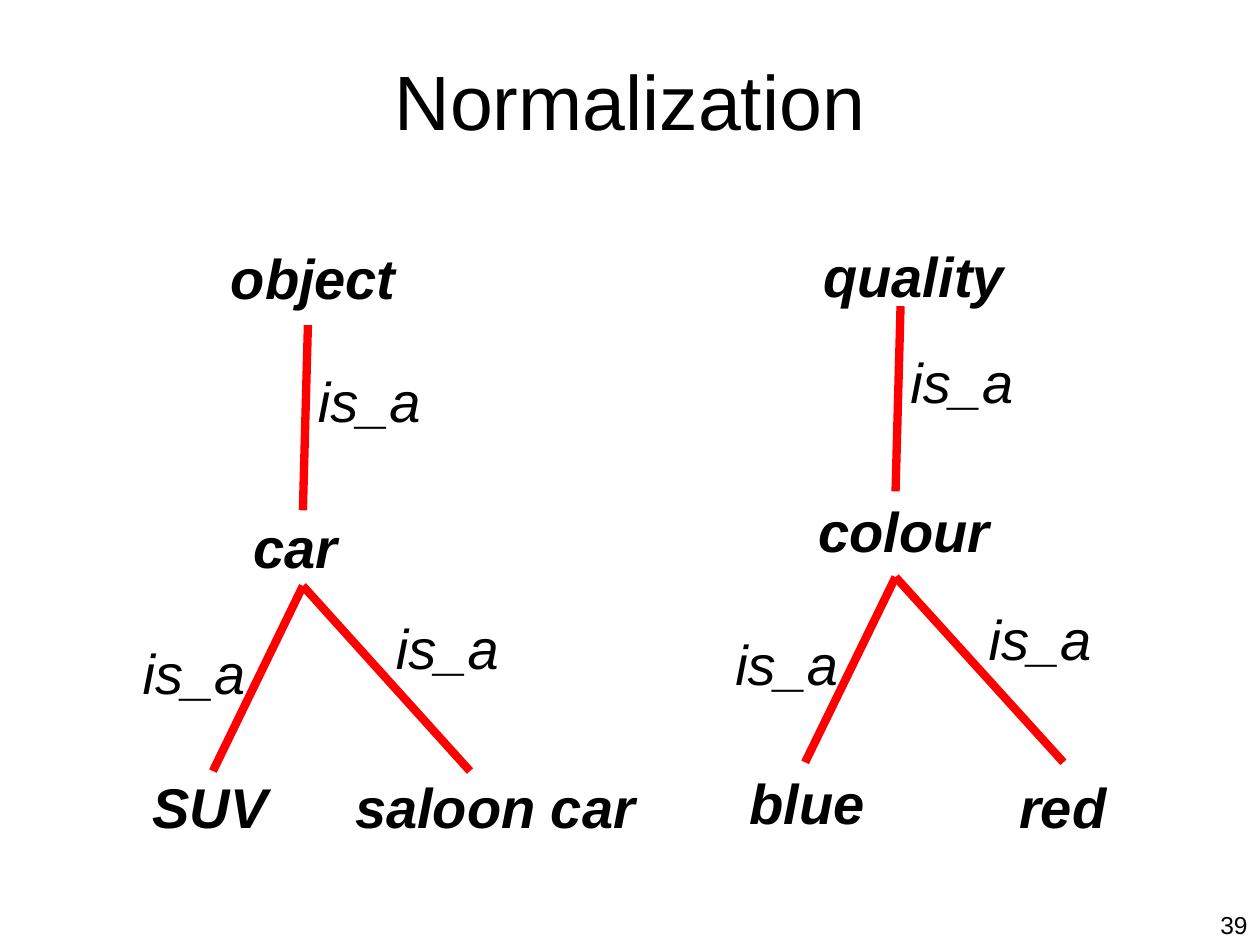
from lxml import etree
from pptx import Presentation
from pptx import util as u
from pptx.dml.color import RGBColor
from pptx.enum import shapes, text
from pptx.oxml.ns import qn

BLACK = RGBColor(0x00, 0x00, 0x00)
RED = RGBColor(0xFF, 0x00, 0x00)
WIDTH, HEIGHT = u.Inches(10), u.Inches(7.5)
COL, ROW = WIDTH / 100, HEIGHT / 75
BRANCH_HEIGHT = 14.7
LABEL_SIZE = (10.2, 6.3)
NAME_SIZE = (36.1, 6.3)


def grid(x, y):
    """Turn grid columns and rows into slide lengths."""
    return round(x * COL), round(y * ROW)


def shift(point, offset):
    """Move a grid point by an offset."""
    return point[0] + offset[0], point[1] + offset[1]


def style(paragraph, size, align, bold=False, italic=False):
    """Format one paragraph in black Arial."""
    paragraph.alignment = align
    font = paragraph.font
    font.name, font.size, font.color.rgb = "Arial", u.Pt(size), BLACK
    font.bold, font.italic = bold, italic


def add_words(slide, words, corner, size, points=32, align=text.PP_ALIGN.LEFT,
              wrap=False, **emphasis):
    """Write words in a text box with its top left at a grid corner."""
    frame = slide.shapes.add_textbox(*grid(*corner), *grid(*size)).text_frame
    frame.word_wrap = wrap
    frame.text = words
    style(frame.paragraphs[0], points, align, **emphasis)


def add_link(slide, start, end, label_corner):
    """Draw a red is_a link with its label."""
    link = slide.shapes.add_connector(
        shapes.MSO_CONNECTOR.STRAIGHT, *grid(*start), *grid(*end))
    link.line.color.rgb = RED
    link.line.width = u.Pt(4.75)
    etree.SubElement(link._element.spPr, qn("a:effectLst"))
    add_words(slide, "is_a", label_corner, LABEL_SIZE, italic=True)


def add_tree(slide, box, names):
    """Draw a root, its child and two leaves inside a grid box."""
    left, top, width, height = box
    bottom = top + height
    apex = (left + 0.35 * width, bottom - BRANCH_HEIGHT)
    root = (apex[0] + 0.4, top)
    left_leaf, right_leaf = (left, bottom), (left + width, bottom)

    add_link(slide, root, shift(root, (-0.4, BRANCH_HEIGHT)), shift(root, (-0.2, 2.8)))
    add_link(slide, apex, left_leaf, shift(apex, (-13.7, 3.7)))
    add_link(slide, apex, right_leaf, shift(apex, (6.4, 1.7)))
    for node, (name, offset) in zip((root, apex, left_leaf, right_leaf), names):
        add_words(slide, name, shift(node, offset), NAME_SIZE, wrap=True,
                  bold=True, italic=True)


def add_title(slide, words, box):
    """Place the slide title in a grid box."""
    title = slide.shapes.title
    title.left, title.top = grid(*box[:2])
    title.width, title.height = grid(*box[2:])
    title.text_frame.text = words
    title.text_frame.vertical_anchor = text.MSO_ANCHOR.MIDDLE
    style(title.text_frame.paragraphs[0], 44, text.PP_ALIGN.CENTER)


def main():
    """Build and save the slide."""
    deck = Presentation()
    deck.slide_width, deck.slide_height = WIDTH, HEIGHT
    slide = deck.slides.add_slide(deck.slide_layouts.get_by_name("Title Only"))
    add_title(slide, "Normalization", (0, 1.7, 100, 12.5))
    add_tree(slide, (16.9, 25.8, 20.4, 35.4), (
        ("object", (-7.1, -7)), ("car", (-4.9, -6.3)),
        ("SUV", (-5.8, -0.4)), ("saloon car", (-10.1, -0.4))))
    add_tree(slide, (63.9, 24.3, 20.5, 36.2), (
        ("quality", (-7.1, -5.6)), ("colour", (-7.1, -6.9)),
        ("blue", (-5.4, 0)), ("red", (-4.5, 0.3))))
    add_words(slide, "39", (82.5, 71.7), (17.5, 3.3), 14,
              text.PP_ALIGN.RIGHT, wrap=True)
    deck.save("out.pptx")


if __name__ == "__main__":
    main()
